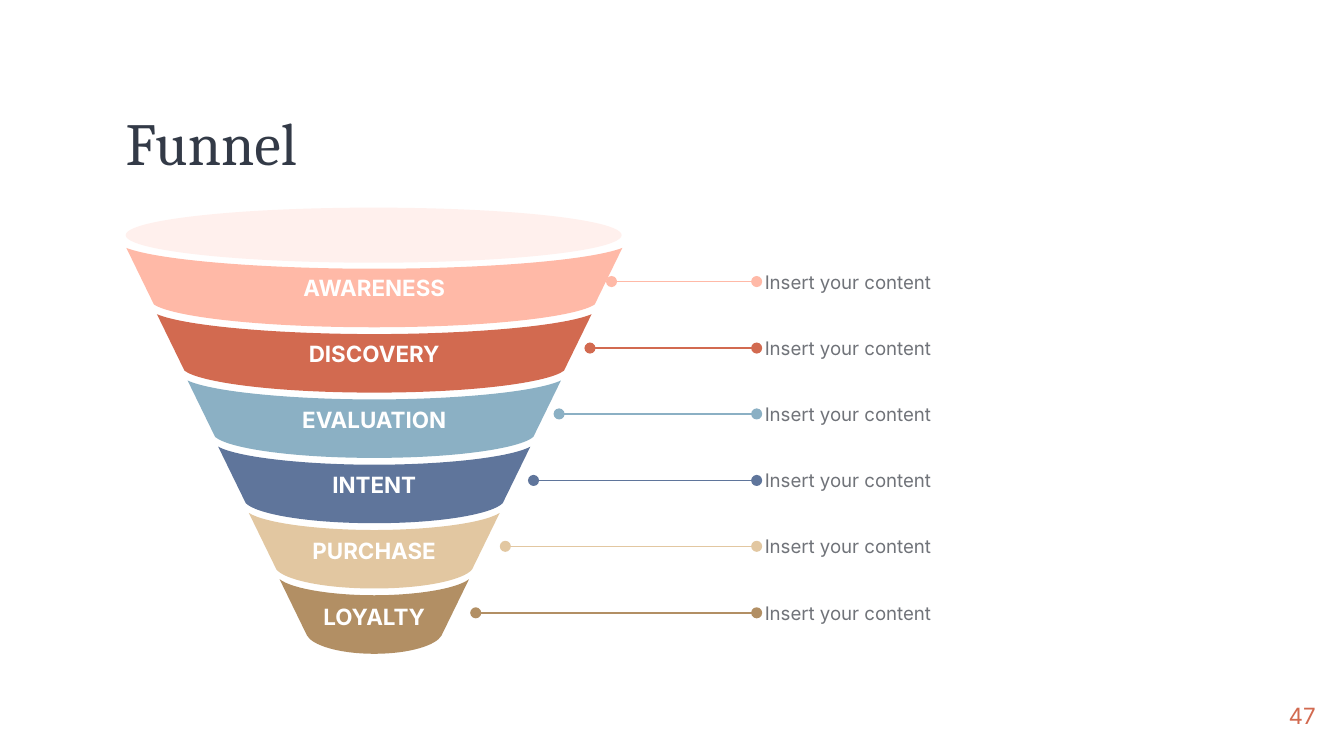
from dataclasses import dataclass

from lxml.etree import SubElement
from pptx import Presentation
from pptx.dml.color import RGBColor
from pptx.enum.shapes import MSO_CONNECTOR, MSO_SHAPE
from pptx.enum.text import MSO_ANCHOR, MSO_AUTO_SIZE, PP_ALIGN
from pptx.oxml.ns import qn
from pptx.util import Pt

PX = 4572  # EMU; 200 px to the inch


@dataclass(frozen=True)
class Theme:
    heading: str = "Cambria"
    body: str = "Inter"
    title_size: int = 32
    label_size: int = 12
    note_size: int = 10
    ink: str = "333A47"
    grey: str = "707379"
    accent: str = "D26A50"
    white: str = "FFFFFF"
    rim: str = "FFF0ED"


@dataclass(frozen=True)
class Stage:
    label: str
    color: str
    leader_x: int


THEME = Theme()
STAGES = [
    Stage("AWARENESS", "FFB9A7", 910),
    Stage("DISCOVERY", "D26A50", 878),
    Stage("EVALUATION", "8BB0C4", 832),
    Stage("INTENT", "5F759B", 794),
    Stage("PURCHASE", "E2C7A1", 752),
    Stage("LOYALTY", "B28F64", 708),
]
NOTE = "Insert your content"

CENTER_X = 557
FIRST_TOP, STAGE_RISE = 369, 84
FIRST_HALF, STAGE_TAPER = 369, 41
TOP_SAG, SAG_LOSS = 31, 7  # sag of the first top edge, lost by the last
BAND = 87                  # thickness of a band at its middle
TOTAL_RISE, TOTAL_TAPER = 493, 228
LEADER_Y, LEADER_END = 419, 1126
NOTE_X, NOTE_W, NOTE_H = 1138, 278, 70


def rgb(value: str) -> RGBColor:
    return RGBColor.from_string(value)


def write(tf, text: str, size: int, color: str, font: str = THEME.body,
          align=PP_ALIGN.LEFT, bold: bool = False, inset: bool = False):
    tf.word_wrap = True
    tf.auto_size = MSO_AUTO_SIZE.NONE
    tf.vertical_anchor = MSO_ANCHOR.MIDDLE
    if not inset:
        tf.margin_left = tf.margin_right = tf.margin_top = tf.margin_bottom = 0
    p = tf.paragraphs[0]
    p.alignment = align
    r = p.add_run()
    r.text = text
    r.font.name, r.font.size, r.font.bold = font, Pt(size), bold
    r.font.color.rgb = rgb(color)
    return p


def paint(sp, color: str) -> None:
    sp.shadow.inherit = False
    sp.fill.solid()
    sp.fill.fore_color.rgb = rgb(color)
    sp.line.fill.background()


def edge(half: float, y: float, sag: float, cx: tuple, cy: float) -> list:
    """Bézier points of a sagging edge, left to right: two mirrored curves.

    cx and cy place the control points as shares of half and sag.
    """
    left = [(half, y), (half * cx[0], y + sag * cy),
            (half * cx[1], y + sag), (0, y + sag)]
    return ([(CENTER_X - dx, py) for dx, py in left]
            + [(CENTER_X + dx, py) for dx, py in left[-2::-1]])


def bend(segments: list) -> None:
    """Merge three straight segments into one cubic curve."""
    curve = segments[0].makeelement(qn("a:cubicBezTo"))
    segments[0].addprevious(curve)
    for segment in segments:
        curve.append(segment[0])
        segment.getparent().remove(segment)


def add_stage(shapes, stage: Stage, share: float) -> None:
    """Draw one band; share runs from 0 for the first to 1 for the last."""
    top = FIRST_TOP + TOTAL_RISE * share
    half = FIRST_HALF - TOTAL_TAPER * share
    sag = TOP_SAG - SAG_LOSS * share
    upper = edge(half, top, sag, (0.86, 0.42), 0.63)
    lower = edge(half - STAGE_TAPER, top + STAGE_RISE, sag + BAND - STAGE_RISE,
                 (0.92, 0.53), 0.53)
    points = [(round(x * PX), round(y * PX)) for x, y in upper + lower[::-1]]
    builder = shapes.build_freeform(*points[0], scale=1.0)
    builder.add_line_segments(points[1:], close=True)
    sp = builder.convert_to_shape()
    segments = list(sp._element.iter(qn("a:lnTo")))
    for start in (0, 3, 7, 10):  # segment 6 stays straight: the right side
        bend(segments[start:start + 3])
    paint(sp, stage.color)
    write(sp.text_frame, stage.label, THEME.label_size, THEME.white,
          align=PP_ALIGN.CENTER, bold=True, inset=True)


def add_leader(shapes, x: int, y: int, color: str) -> None:
    line = shapes.add_connector(MSO_CONNECTOR.STRAIGHT, x * PX, y * PX,
                                LEADER_END * PX, y * PX)
    line.line.color.rgb = rgb(color)
    line.line.width = Pt(0.75)
    ln = line.line._get_or_add_ln()
    for end in ("a:headEnd", "a:tailEnd"):
        SubElement(ln, qn(end), type="oval")
    SubElement(line._element.spPr, qn("a:effectLst"))


def add_text(shapes, x: int, y: int, w: int, h: int, text: str, size: int,
             color: str, align=PP_ALIGN.LEFT) -> None:
    box = shapes.add_textbox(x * PX, y * PX, w * PX, h * PX)
    write(box.text_frame, text, size, color, align=align)


def main() -> None:
    prs = Presentation()
    prs.slide_width, prs.slide_height = 2000 * PX, 1125 * PX
    s = prs.slides.add_slide(prs.slide_layouts[5])

    title = s.shapes.title
    title.left, title.top = 187 * PX, 164 * PX
    title.width, title.height = 996 * PX, 106 * PX
    p = write(title.text_frame, "Funnel", THEME.title_size, THEME.ink,
              THEME.heading)
    p.line_spacing = 0.9

    add_text(s.shapes, 1838, 1022, 120, 86, "47", THEME.label_size,
             THEME.accent, PP_ALIGN.RIGHT)

    funnel = s.shapes.add_group_shape()
    for i, stage in enumerate(STAGES):
        share = i / (len(STAGES) - 1)
        add_stage(funnel.shapes, stage, share)
        y = LEADER_Y + round(TOTAL_RISE * share)
        add_leader(s.shapes, stage.leader_x, y, stage.color)
        add_text(s.shapes, NOTE_X, y - NOTE_H // 2, NOTE_W, NOTE_H, NOTE,
                 THEME.note_size, THEME.grey)
    rim = funnel.shapes.add_shape(MSO_SHAPE.OVAL, 187 * PX, 309 * PX,
                                  738 * PX, 82 * PX)
    paint(rim, THEME.rim)

    prs.save("out.pptx")


if __name__ == "__main__":
    main()
